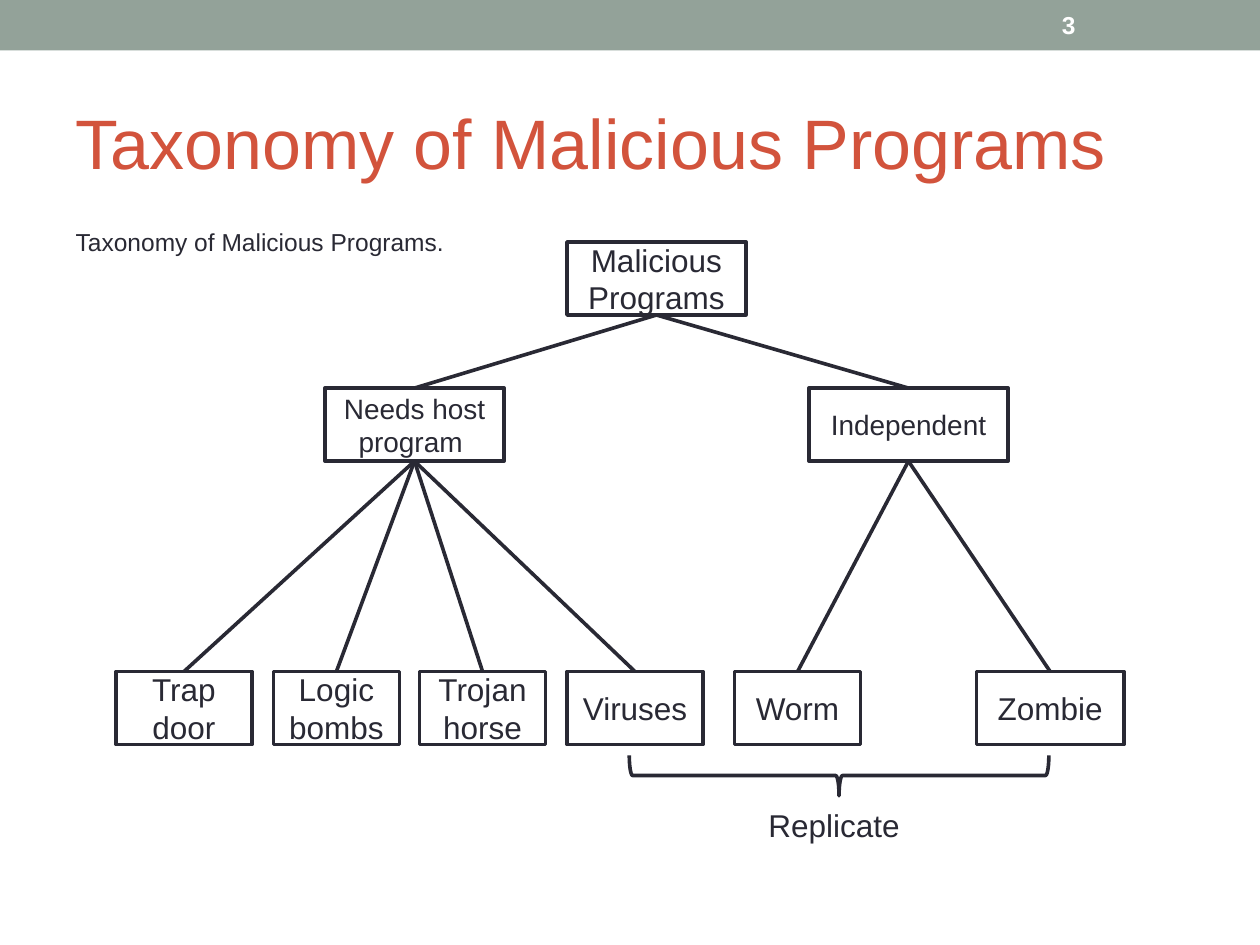
"""Build a slide that shows the taxonomy of malicious programs as a tree."""
import lxml.etree
import pptx
import pptx.dml.color
import pptx.enum.shapes
import pptx.enum.text
import pptx.oxml.ns
import pptx.util

Inches = pptx.util.Inches
ALIGN = pptx.enum.text.PP_ALIGN
ANCHOR = pptx.enum.text.MSO_ANCHOR
SHAPES = pptx.enum.shapes.MSO_SHAPE
INK, WHITE = "292934", "FFFFFF"


def color(value):
    return pptx.dml.color.RGBColor.from_string(value)


def write(holder, text, size, ink=INK, align=ALIGN.LEFT, anchor=ANCHOR.TOP, bold=False):
    frame = holder.text_frame
    frame.text = text
    frame_format = {
        "word_wrap": True,
        "auto_size": pptx.enum.text.MSO_AUTO_SIZE.NONE,
        "vertical_anchor": anchor,
        "margin_left": Inches(0.1),
        "margin_right": Inches(0.1),
        "margin_top": Inches(0.05),
        "margin_bottom": Inches(0.05),
    }
    for name, value in frame_format.items():
        setattr(frame, name, value)
    font_format = {"name": "Arial", "size": pptx.util.Pt(size), "bold": bold}
    for paragraph in frame.paragraphs:
        paragraph.alignment = align
        for name, value in font_format.items():
            setattr(paragraph.font, name, value)
        paragraph.font.color.rgb = color(ink)


deck = pptx.Presentation()
deck.slide_width, deck.slide_height = Inches(10), Inches(7.5)
slide = deck.slides.add_slide(deck.slide_layouts[1])
shapes = slide.shapes

banner = shapes.add_shape(SHAPES.RECTANGLE, 0, 0, Inches(10), Inches(0.4))
banner.shadow.inherit = False
banner.fill.solid()
banner.fill.fore_color.rgb = color("93A299")
banner.line.fill.background()

title, caption = slide.placeholders
for part, top, height in ((title, 0.58, 1.08), (caption, 1.75, 5.33)):
    part.left, part.top = Inches(0.5), Inches(top)
    part.width, part.height = Inches(9), Inches(height)
write(title, "Taxonomy of Malicious Programs", 40, "D2533C", anchor=ANCHOR.MIDDLE)
write(caption, "Taxonomy of Malicious Programs.", 14)
caption_line = caption.text_frame.paragraphs[0]
caption_line.space_before = pptx.util.Pt(3.5)
caption_props = caption_line._p.get_or_add_pPr()
caption_props.set("marL", "0")
caption_props.set("indent", "0")
lxml.etree.SubElement(caption_props, pptx.oxml.ns.qn("a:buNone"))
caption_props.insert_element_before(caption_props[-1], "a:defRPr")

page_number = shapes.add_textbox(Inches(8.33), Inches(0.02), Inches(1.17), Inches(0.36))
write(page_number, "3", 14, WHITE, anchor=ANCHOR.MIDDLE, bold=True)

programs = {
    "Malicious\nPrograms": (4.5, 1.92, 1.42, 18, None),
    "Needs host program ": (2.58, 3.08, 1.42, 16, "Malicious\nPrograms"),
    "Independent": (6.42, 3.08, 1.58, 16, "Malicious\nPrograms"),
    "Trap door": (0.92, 5.33, 1.08, 18, "Needs host program "),
    "Logic bombs": (2.17, 5.33, 1, 18, "Needs host program "),
    "Trojan horse": (3.33, 5.33, 1, 18, "Needs host program "),
    "Viruses": (4.5, 5.33, 1.08, 18, "Needs host program "),
    "Worm": (5.83, 5.33, 1, 18, "Independent"),
    "Zombie": (7.75, 5.33, 1.17, 18, "Independent"),
}
nodes = {}
outlined = []
for label, (left, top, width, size, parent) in programs.items():
    node = shapes.add_shape(
        SHAPES.RECTANGLE, Inches(left), Inches(top), Inches(width), Inches(0.58))
    node.shadow.inherit = False
    node.fill.solid()
    node.fill.fore_color.rgb = color(WHITE)
    write(node, label, size, align=ALIGN.CENTER, anchor=ANCHOR.MIDDLE)
    nodes[label] = node
    outlined.append(node)

for label, (left, top, width, size, parent) in programs.items():
    if parent:
        branch = shapes.add_connector(pptx.enum.shapes.MSO_CONNECTOR.STRAIGHT, 0, 0, 0, 0)
        branch.begin_connect(nodes[parent], 2)
        branch.end_connect(nodes[label], 0)
        lxml.etree.SubElement(branch._element.spPr, pptx.oxml.ns.qn("a:effectLst"))
        outlined.append(branch)

replicating = shapes.add_shape(
    SHAPES.LEFT_BRACE, Inches(6.5), Inches(4.49), Inches(0.32), Inches(3.33))
replicating.rotation = 270
replicating.shadow.inherit = False
replicating.fill.background()
outlined.append(replicating)

for part in outlined:
    part.line.color.rgb = color(INK)
    part.line.width = pptx.util.Pt(2.07)

replicate = shapes.add_textbox(Inches(6), Inches(6.35), Inches(1.42), Inches(0.4))
write(replicate, "Replicate", 18)

deck.save("out.pptx")
